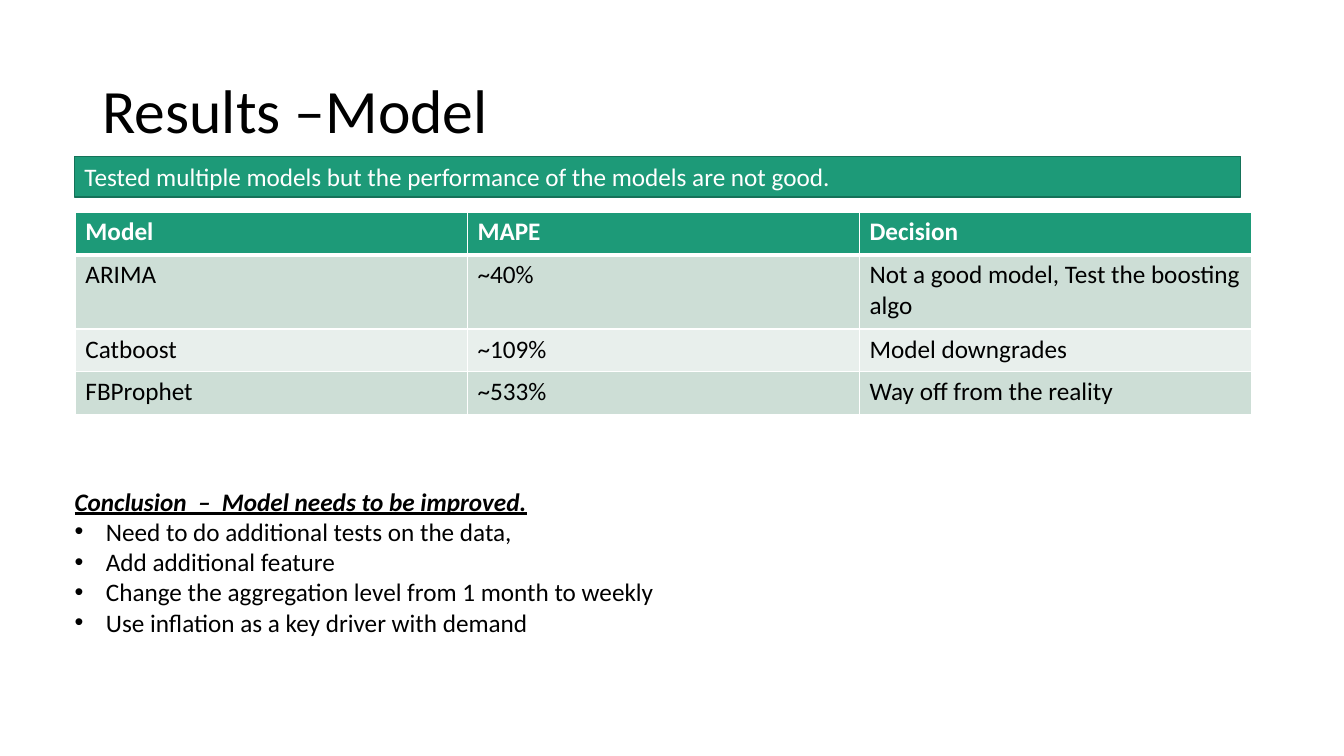
"""Build the slide with the results of the model tests."""
from dataclasses import dataclass

from lxml import etree
from pptx import Presentation
from pptx.dml.color import RGBColor
from pptx.enum import shapes, text
from pptx.oxml import ns
from pptx.util import Cm, Pt

HUES = {"green": "1D9A78", "edge": "157259", "dark": "CDDED6",
        "pale": "E8EFEC", "white": "FFFFFF", "black": "000000"}
FONT = "Calibri"
LEFT = 1.88
INDENT = Cm(0.79)


@dataclass
class Style:
    size: float = 18
    hue: str = "black"
    bold: bool = False
    slant: bool = False
    line: bool = False


@dataclass
class Row:
    cells: tuple[str, ...]
    height: float
    fill: str
    style: Style


@dataclass
class Item:
    words: str
    style: Style
    bullet: bool = True


PLAIN = Style()
HEAD = Style(hue="white", bold=True)
ROWS = [
    Row(("Model", "MAPE", "Decision"), 1.08, "green", HEAD),
    Row(("ARIMA", "~40%", "Not a good model, Test the boosting algo"),
        1.87, "dark", PLAIN),
    Row(("Catboost", "~109%", "Model downgrades"), 1.08, "pale", PLAIN),
    Row(("FBProphet", "~533%", "Way off from the reality"),
        1.08, "dark", PLAIN),
]
ITEMS = [
    Item("Conclusion  –  Model needs to be improved.",
         Style(bold=True, slant=True, line=True), False),
    Item("Need to do additional tests on the data,", PLAIN),
    Item("Add additional feature", PLAIN),
    Item("Change the aggregation level from 1 month to weekly", PLAIN),
    Item("Use inflation as a key driver with demand", PLAIN),
]


def color(name: str) -> RGBColor:
    """Return the named colour."""
    return RGBColor.from_string(HUES[name])


def write(para, words: str, style: Style) -> None:
    """Add one left-aligned run to a paragraph."""
    para.alignment = text.PP_ALIGN.LEFT
    run = para.add_run()
    run.text = words
    font = run.font
    font.name, font.size = FONT, Pt(style.size)
    font.bold, font.italic = style.bold, style.slant
    font.underline = style.line
    font.color.rgb = color(style.hue)


def rule(cell, side: str, width: float) -> None:
    """Draw one white border of a cell."""
    line = etree.SubElement(cell._tc.get_or_add_tcPr(),
                            ns.qn(f"a:ln{side}"), w=str(Pt(width)))
    fill = etree.SubElement(line, ns.qn("a:solidFill"))
    etree.SubElement(fill, ns.qn("a:srgbClr"), val=HUES["white"])


def dot(para) -> None:
    """Give a paragraph a bullet and a hanging indent."""
    props = para._p.get_or_add_pPr()
    props.set("marL", str(INDENT))
    props.set("indent", str(-INDENT))
    etree.SubElement(props, ns.qn("a:buFont"), typeface="Arial")
    etree.SubElement(props, ns.qn("a:buChar"), char="•")


def head(slide) -> None:
    """Place and fill the title."""
    title = slide.shapes.title
    title.left, title.top = Cm(2.33), Cm(1.01)
    title.width, title.height = Cm(29.21), Cm(3.68)
    frame = title.text_frame
    frame.word_wrap = True
    frame.vertical_anchor = text.MSO_ANCHOR.MIDDLE
    para = frame.paragraphs[0]
    para.line_spacing = 0.9
    write(para, "Results –Model", Style(size=44))


def banner(slide) -> None:
    """Draw the green bar with the key message."""
    bar = slide.shapes.add_shape(shapes.MSO_SHAPE.RECTANGLE, Cm(LEFT),
                                 Cm(3.94), Cm(29.39), Cm(1.03))
    bar.shadow.inherit = False
    bar.fill.solid()
    bar.fill.fore_color.rgb = color("green")
    bar.line.color.rgb = color("edge")
    bar.line.width = Pt(1)
    frame = bar.text_frame
    frame.word_wrap = True
    frame.auto_size = text.MSO_AUTO_SIZE.SHAPE_TO_FIT_TEXT
    frame.vertical_anchor = text.MSO_ANCHOR.TOP
    write(frame.paragraphs[0], "Tested multiple models but the performance "
          "of the models are not good.", Style(hue="white"))


def grid(slide) -> None:
    """Draw the table of models."""
    wide = 29.64
    tall = sum(row.height for row in ROWS)
    count = len(ROWS[0].cells)
    table = slide.shapes.add_table(len(ROWS), count, Cm(LEFT + 0.02),
                                   Cm(5.34), Cm(wide), Cm(tall)).table
    for col in table.columns:
        col.width = Cm(wide / count)
    for i, row in enumerate(ROWS):
        table.rows[i].height = Cm(row.height)
        for j, words in enumerate(row.cells):
            cell = table.cell(i, j)
            for side in "LRTB":
                thick = (i, side) in ((0, "B"), (1, "T"))
                rule(cell, side, 3 if thick else 1)
            cell.fill.solid()
            cell.fill.fore_color.rgb = color(row.fill)
            write(cell.text_frame.paragraphs[0], words, row.style)


def notes(slide) -> None:
    """Write the conclusion and its bullets."""
    box = slide.shapes.add_textbox(Cm(1.63), Cm(12.12), Cm(29.39), Cm(4.11))
    frame = box.text_frame
    frame.word_wrap = True
    frame.auto_size = text.MSO_AUTO_SIZE.SHAPE_TO_FIT_TEXT
    for i, item in enumerate(ITEMS):
        para = frame.add_paragraph() if i else frame.paragraphs[0]
        write(para, item.words, item.style)
        if item.bullet:
            dot(para)


def main() -> None:
    """Build and save the deck."""
    deck = Presentation()
    deck.slide_width, deck.slide_height = Cm(33.87), Cm(19.05)
    slide = deck.slides.add_slide(deck.slide_layouts[5])
    head(slide)
    grid(slide)
    banner(slide)
    notes(slide)
    deck.save("out.pptx")


if __name__ == "__main__":
    main()
